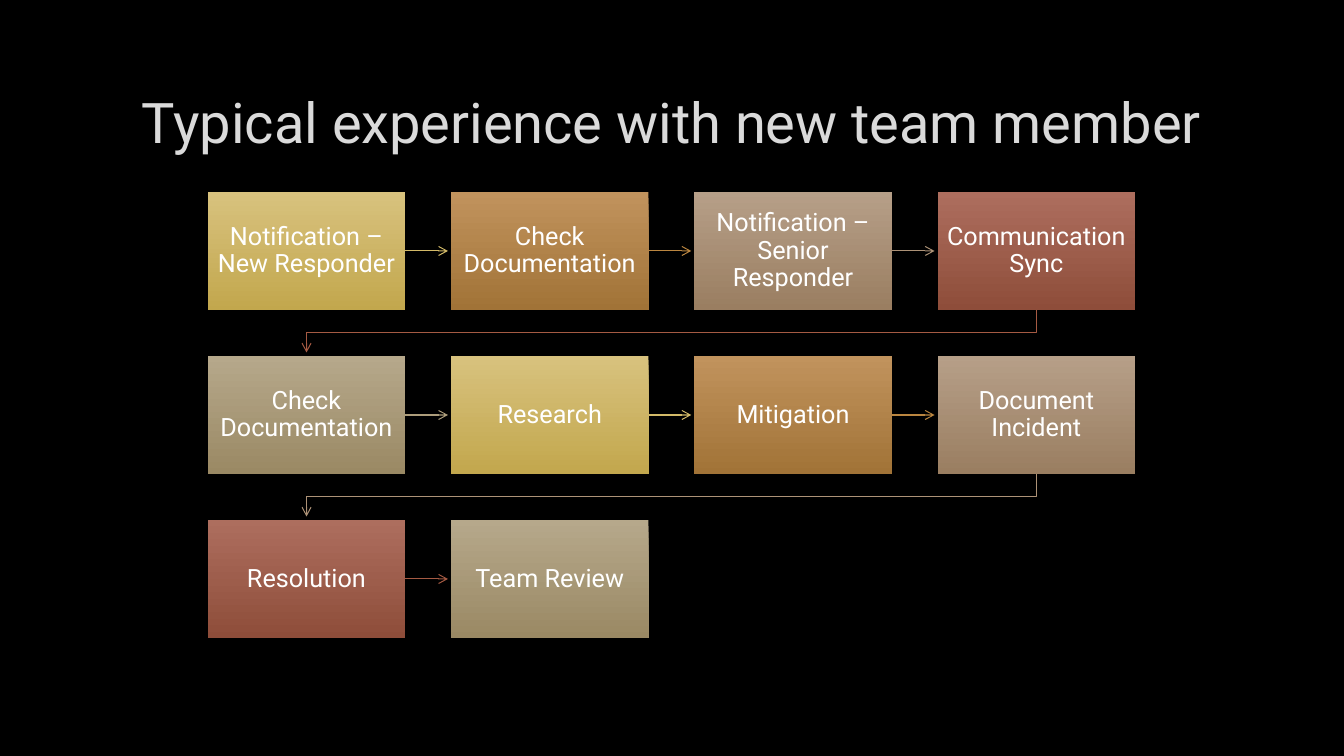
from dataclasses import dataclass

from lxml import etree
from pptx import Presentation
from pptx.dml.color import RGBColor
from pptx.enum import shapes, text
from pptx.oxml import ns
from pptx.util import Inches, Pt

FONT = "Roboto"
COLS = 4
LEFT, TOP = 2.06, 1.9
WIDTH, HEIGHT = 1.96, 1.18
STEP_X, STEP_Y = 2.413, 1.627
GAP = 0.03


@dataclass(frozen=True)
class Tone:
    top: str
    base: str
    line: str


@dataclass(frozen=True)
class Step:
    label: str
    tone: Tone
    x: float
    y: float


TONES = [
    Tone("D8C27E", "C2A74D", "D3BA68"),
    Tone("C1935D", "A17337", "BB8640"),
    Tone("B69F88", "9A7E61", "AD9277"),
    Tone("AD6E5E", "8E4D3A", "A55A43"),
    Tone("B6A88B", "9A8964", "AD9D7B"),
]
LABELS = [
    "Notification – New Responder",
    "Check Documentation",
    "Notification – Senior Responder",
    "Communication Sync",
    "Check Documentation",
    "Research",
    "Mitigation",
    "Document Incident",
    "Resolution",
    "Team Review",
]
STEPS = [
    Step(label, TONES[i % len(TONES)],
         LEFT + i % COLS * STEP_X, TOP + i // COLS * STEP_Y)
    for i, label in enumerate(LABELS)
]


def rgb(code: str) -> RGBColor:
    return RGBColor.from_string(code)


def apply(target, values: dict) -> None:
    for name, value in values.items():
        setattr(target, name, value)


def write(shape, words: str, size: float, color: str, space: float, inset: float) -> None:
    frame = shape.text_frame
    frame.text = words
    side = Inches(inset)
    apply(frame, {
        "word_wrap": True,
        "auto_size": text.MSO_AUTO_SIZE.NONE,
        "vertical_anchor": text.MSO_ANCHOR.MIDDLE,
        "margin_left": side, "margin_right": side,
        "margin_top": side, "margin_bottom": side,
    })
    para = frame.paragraphs[0]
    apply(para, {"alignment": text.PP_ALIGN.CENTER, "line_spacing": space})
    font = para.runs[0].font
    apply(font, {"name": FONT, "size": Pt(size)})
    font.color.rgb = rgb(color)


def draw_box(slide, step: Step):
    box = slide.shapes.add_shape(
        shapes.MSO_SHAPE.RECTANGLE,
        Inches(step.x), Inches(step.y), Inches(WIDTH), Inches(HEIGHT))
    box.shadow.inherit = False
    box.line.fill.background()
    box.fill.gradient()
    box.fill.gradient_angle = 270
    for stop, place, code in zip(box.fill.gradient_stops, (0, 1),
                                 (step.tone.top, step.tone.base)):
        stop.position = place
        stop.color.rgb = rgb(code)
    write(box, step.label, 18, "FFFFFF", 0.9, 0.09)
    return box


def style_arrow(arrow, color: str) -> None:
    arrow.line.color.rgb = rgb(color)
    arrow.line.width = Pt(0.75)
    etree.SubElement(arrow.line._get_or_add_ln(), ns.qn("a:tailEnd"), type="arrow")


def link_next(slide, box, step: Step, follow: Step) -> None:
    """Draw a straight arrow to the next box in the row."""
    mid = Inches(step.y + HEIGHT / 2)
    arrow = slide.shapes.add_connector(
        shapes.MSO_CONNECTOR.STRAIGHT,
        Inches(step.x + WIDTH), mid, Inches(follow.x - GAP), mid)
    arrow.begin_connect(box, 3)
    style_arrow(arrow, step.tone.line)
    etree.SubElement(arrow._element.spPr, ns.qn("a:effectLst"))


def link_row(slide, step: Step, follow: Step) -> None:
    """Draw a bent arrow back to the first box of the next row."""
    start, end = step.x + WIDTH / 2, follow.x + WIDTH / 2
    base = step.y + HEIGHT
    bend = (base + follow.y) / 2
    path = slide.shapes.build_freeform(Inches(start), Inches(base))
    path.add_line_segments(
        [(Inches(x), Inches(y))
         for x, y in ((start, bend), (end, bend), (end, follow.y - GAP))],
        close=False)
    arrow = path.convert_to_shape()
    arrow.fill.background()
    style_arrow(arrow, step.tone.line)
    arrow.shadow.inherit = False


def main() -> None:
    deck = Presentation()
    apply(deck, {"slide_width": Inches(13.33), "slide_height": Inches(7.5)})
    slide = deck.slides.add_slide(deck.slide_layouts[5])
    slide.background.fill.solid()
    slide.background.fill.fore_color.rgb = rgb("000000")

    title = slide.shapes.title
    apply(title, {"left": Inches(1), "top": Inches(0.67),
                  "width": Inches(11.32), "height": Inches(1.06)})
    write(title, "Typical experience with new team member", 40, "DADADA", 1.0, 0.05)

    boxes = [draw_box(slide, step) for step in STEPS]
    for box, step, follow in zip(boxes, STEPS, STEPS[1:]):
        if step.y == follow.y:
            link_next(slide, box, step, follow)
        else:
            link_row(slide, step, follow)
    deck.save("out.pptx")


if __name__ == "__main__":
    main()
